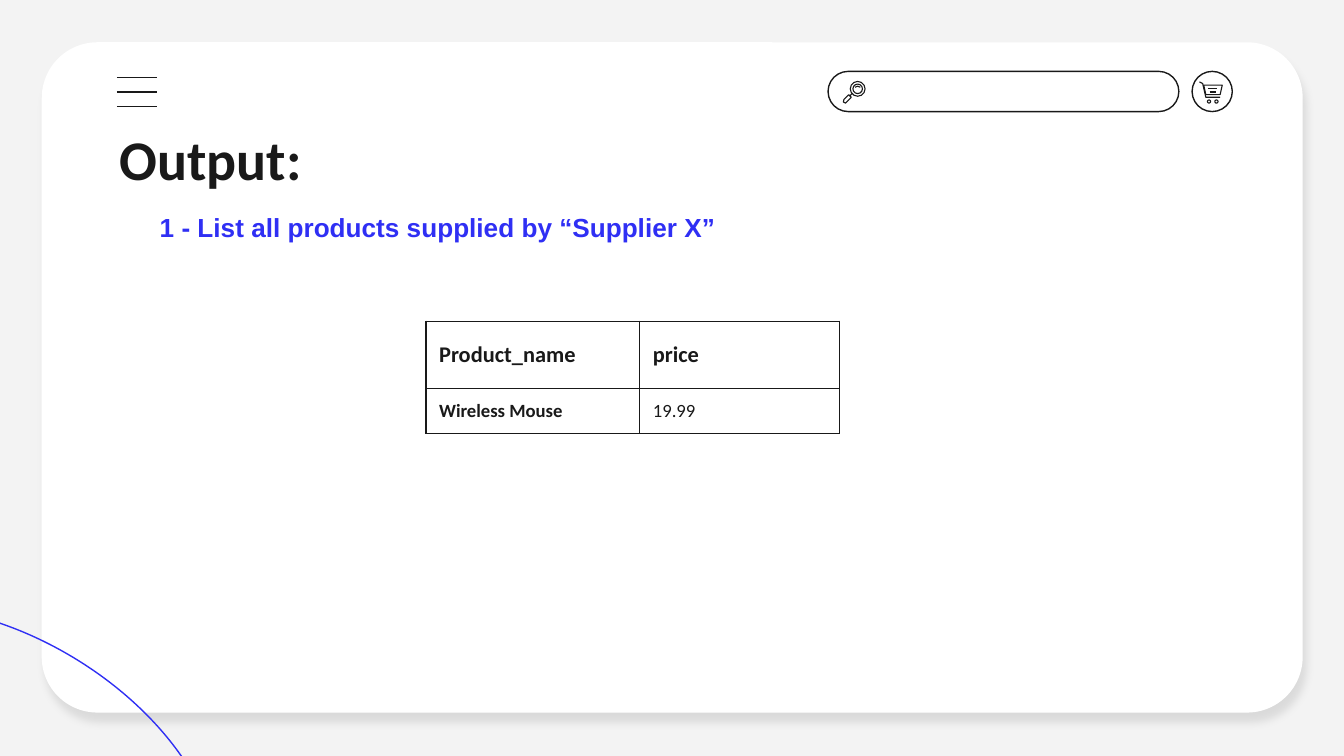
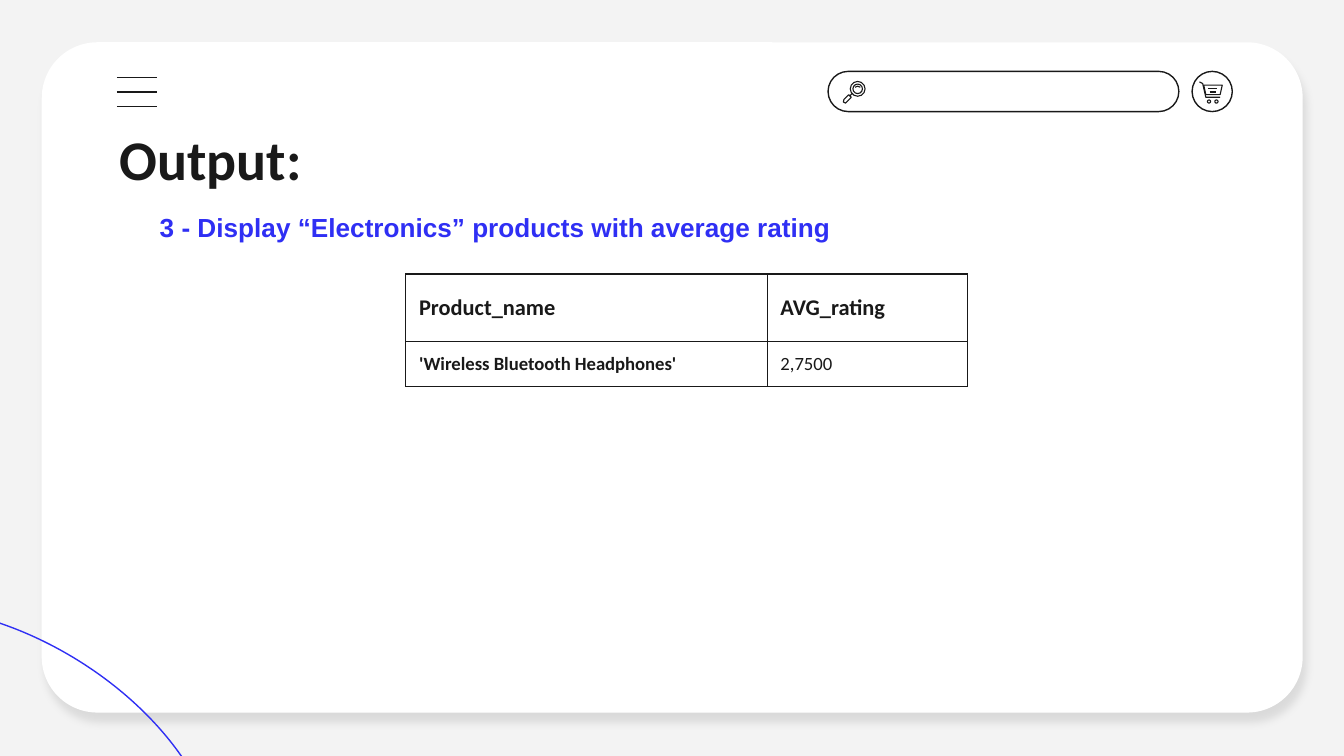
from dataclasses import dataclass

from lxml import etree
from pptx import Presentation
from pptx import util as u
from pptx.dml.color import RGBColor
from pptx.enum import shapes, text
from pptx.oxml import ns

COLORS = {"backdrop": "F3F3F3", "card": "FFFFFF", "ink": "191919", "accent": "2F2FF4", "shadow": "000000"}
HEADING_FONT = "Calibri"
QUERY_FONT = "Arial"
STROKE = 0.75
ICON_STROKE = 0.6
ROW_HEIGHTS = (1.27, 0.86)
INSET = 0.25
SHAPE = shapes.MSO_SHAPE
ANCHOR = text.MSO_ANCHOR


@dataclass(frozen=True)
class Frame:
    left: float
    top: float
    width: float
    height: float

    def lengths(self) -> tuple:
        return tuple(u.Cm(value) for value in (self.left, self.top, self.width, self.height))


@dataclass(frozen=True)
class Outline:
    kind: SHAPE
    frame: Frame
    color: str = "ink"
    width: float = STROKE
    rotation: float = 0
    rounding: float | None = None


@dataclass(frozen=True)
class Stroke:
    points: tuple
    closed: bool = False


@dataclass(frozen=True)
class QueryResult:
    query: str
    query_width: float
    left: float
    top: float
    columns: tuple
    rows: tuple


def circle(left: float, top: float, size: float, width: float = ICON_STROKE) -> Outline:
    return Outline(SHAPE.OVAL, Frame(left, top, size, size), width=width)


CARD = Frame(0.79, 0.8, 23.83, 12.67)
TITLE = Frame(2.01, 2.11, 21.41, 1.6)

OUTLINES = (
    Outline(SHAPE.OVAL, Frame(-4.8, 12.01, 9.35, 5.87), color="accent", rotation=31.1),
    Outline(SHAPE.ROUNDED_RECTANGLE, Frame(15.65, 1.35, 6.63, 0.76), rounding=0.5),
    circle(22.53, 1.35, 0.76, STROKE),
    circle(16.07, 1.54, 0.28),
    circle(16.12, 1.59, 0.18),
    circle(22.82, 1.89, 0.06),
    circle(22.96, 1.89, 0.06),
)

ICON_STROKES = (
    Stroke(((16.04, 1.79), (16.09, 1.84), (15.98, 1.95), (15.94, 1.93), (15.95, 1.88)), closed=True),
    Stroke(((16.06, 1.82), (16.1, 1.77))),
    Stroke(((16.16, 1.65), (16.21, 1.63), (16.26, 1.65))),
    Stroke(((22.84, 1.68), (23, 1.68))),
    Stroke(((22.86, 1.74), (22.98, 1.74))),
    Stroke(((22.67, 1.55), (22.73, 1.58), (22.79, 1.84), (23.06, 1.84))),
    Stroke(((22.75, 1.61), (23.1, 1.61), (23.06, 1.79), (22.79, 1.79)), closed=True),
)

RESULTS = (
    QueryResult(
        "1 - List all products supplied by “Supplier X”", 11.33, 8.05, 6.07, (4.04, 3.78),
        (("Product_name", "price"), ("Wireless Mouse", "19.99")),
    ),
    QueryResult(
        "3 - Display “Electronics” products with average rating", 13.54, 7.67, 5.18, (6.83, 3.78),
        (("Product_name", "AVG_rating"), ("'Wireless Bluetooth Headphones'", "2,7500")),
    ),
)


def rgb(name: str) -> RGBColor:
    return RGBColor.from_string(COLORS[name])


def add_child(parent, tag: str, **attributes):
    return etree.SubElement(parent, ns.qn(tag), {key: str(value) for key, value in attributes.items()})


def style_line(line, color: str, width: float) -> None:
    line.color.rgb = rgb(color)
    line.width = u.Pt(width)


def write(holder, content: str, *, size: float, font: str = HEADING_FONT, color: str = "ink",
          bold: bool = True) -> None:
    para = holder.paragraphs[0]
    span = para.add_run()
    span.text = content
    span.font.size = u.Pt(size)
    span.font.name = font
    span.font.bold = bold
    span.font.color.rgb = rgb(color)


def draw_text(page, frame: Frame, content: str, anchor: ANCHOR, **style) -> None:
    box = page.shapes.add_textbox(*frame.lengths())
    holder = box.text_frame
    holder.word_wrap = True
    holder.vertical_anchor = anchor
    holder.margin_left = holder.margin_right = u.Cm(INSET)
    holder.margin_top = holder.margin_bottom = u.Cm(INSET)
    write(holder, content, **style)


def draw_card(page) -> None:
    card = page.shapes.add_shape(SHAPE.ROUNDED_RECTANGLE, *CARD.lengths())
    card.adjustments[0] = 0.083
    card.fill.solid()
    card.fill.fore_color.rgb = rgb("card")
    card.line.fill.background()
    effects = add_child(card._element.spPr, "a:effectLst")
    shadow = add_child(effects, "a:outerShdw", blurRad=u.Pt(4.5), dist=u.Pt(6), dir=68 * 60000,
                       algn="bl", rotWithShape=0)
    color = add_child(shadow, "a:srgbClr", val=COLORS["shadow"])
    add_child(color, "a:alpha", val=10000)


def draw_outline(page, outline: Outline) -> None:
    shape = page.shapes.add_shape(outline.kind, *outline.frame.lengths())
    shape.shadow.inherit = False
    shape.rotation = outline.rotation
    if outline.rounding is not None:
        shape.adjustments[0] = outline.rounding
    shape.fill.background()
    style_line(shape.line, outline.color, outline.width)


def draw_stroke(page, stroke: Stroke) -> None:
    start, *others = [(u.Cm(x), u.Cm(y)) for x, y in stroke.points]
    builder = page.shapes.build_freeform(*start)
    builder.add_line_segments(others, close=stroke.closed)
    shape = builder.convert_to_shape()
    shape.shadow.inherit = False
    shape.fill.background()
    style_line(shape.line, "ink", ICON_STROKE)


def draw_menu(page) -> None:
    for index in range(3):
        height = u.Cm(1.47 + 0.27 * index)
        bar = page.shapes.add_connector(shapes.MSO_CONNECTOR.STRAIGHT, u.Cm(2.21), height, u.Cm(2.97), height)
        style_line(bar.line, "ink", STROKE)
        add_child(bar._element.spPr, "a:effectLst")


def draw_borders(cell) -> None:
    properties = cell._tc.get_or_add_tcPr()
    for side in ("L", "R", "T", "B"):
        border = add_child(properties, f"a:ln{side}", w=u.Pt(STROKE))
        fill = add_child(border, "a:solidFill")
        add_child(fill, "a:srgbClr", val=COLORS["ink"])


def draw_table(page, result: QueryResult) -> None:
    frame = Frame(result.left, result.top, sum(result.columns), sum(ROW_HEIGHTS))
    table = page.shapes.add_table(len(result.rows), len(result.columns), *frame.lengths()).table
    table.first_row = table.horz_banding = False
    for column, width in zip(table.columns, result.columns):
        column.width = u.Cm(width)
    for row, height in zip(table.rows, ROW_HEIGHTS):
        row.height = u.Cm(height)
    for row_index, values in enumerate(result.rows):
        header = row_index == 0
        for column_index, value in enumerate(values):
            cell = table.cell(row_index, column_index)
            draw_borders(cell)
            cell.fill.background()
            cell.vertical_anchor = ANCHOR.MIDDLE
            cell.margin_left = cell.margin_right = u.Cm(INSET)
            cell.margin_top = cell.margin_bottom = u.Cm(0.13 if header else 0)
            write(cell.text_frame, value, size=12 if header else 10, bold=header or column_index == 0)


def draw_browser(page) -> None:
    page.background.fill.solid()
    page.background.fill.fore_color.rgb = rgb("backdrop")
    draw_card(page)
    draw_menu(page)
    for outline in OUTLINES:
        draw_outline(page, outline)
    for stroke in ICON_STROKES:
        draw_stroke(page, stroke)


def draw_result(page, result: QueryResult) -> None:
    draw_browser(page)
    draw_text(page, TITLE, "Output:", ANCHOR.TOP, size=30)
    draw_table(page, result)
    draw_text(page, Frame(2.77, 3.56, result.query_width, 1.27), result.query, ANCHOR.BOTTOM,
              size=14, font=QUERY_FONT, color="accent")


def main() -> None:
    deck = Presentation()
    deck.slide_width = u.Cm(25.4)
    deck.slide_height = u.Cm(14.29)
    for result in RESULTS:
        draw_result(deck.slides.add_slide(deck.slide_layouts[6]), result)
    deck.save("out.pptx")


if __name__ == "__main__":
    main()
